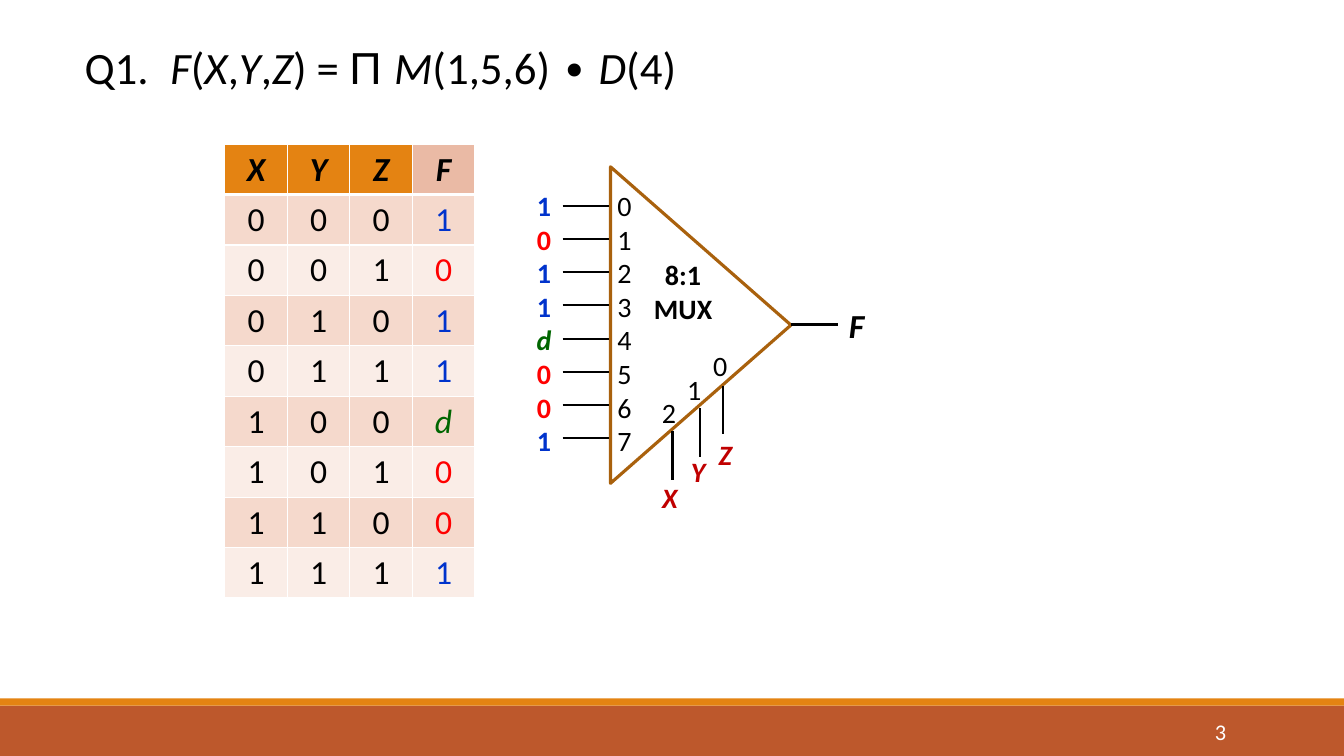
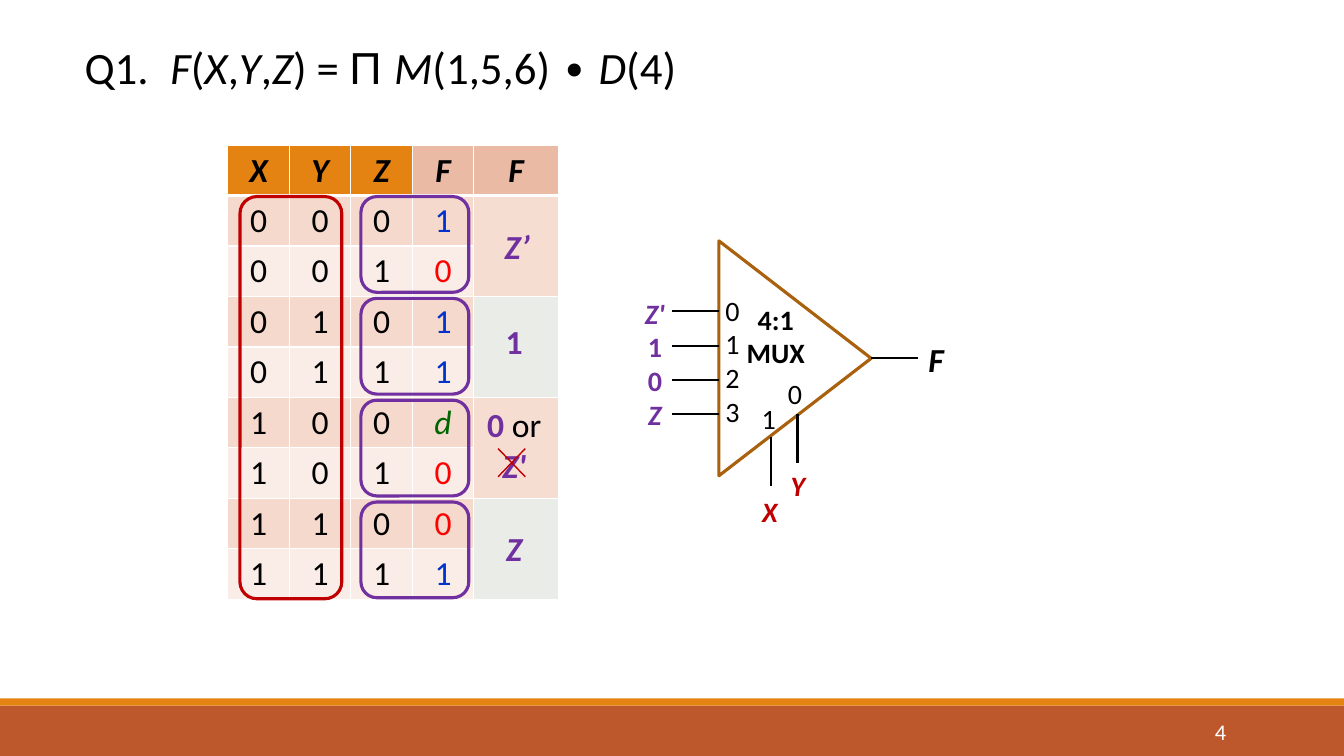
"""Build two slides that solve Q1 with an 8:1 and a 4:1 multiplexer."""
from itertools import product

from lxml.etree import SubElement
from pptx import Presentation
from pptx.dml.color import RGBColor
from pptx.enum.shapes import MSO_CONNECTOR, MSO_SHAPE
from pptx.enum.text import MSO_ANCHOR, PP_ALIGN
from pptx.oxml.ns import qn
from pptx.util import Inches, Pt

BLACK = RGBColor(0x00, 0x00, 0x00)
WHITE = RGBColor(0xFF, 0xFF, 0xFF)
BLUE = RGBColor(0x00, 0x33, 0xCC)
RED = RGBColor(0xFF, 0x00, 0x00)
GREEN = RGBColor(0x00, 0x66, 0x00)
CRIMSON = RGBColor(0xC0, 0x00, 0x00)
PURPLE = RGBColor(0x70, 0x30, 0xA0)
BROWN = RGBColor(0xA9, 0x61, 0x0D)
RUST = RGBColor(0xBD, 0x58, 0x2C)
ORANGE = RGBColor(0xE4, 0x83, 0x12)
PEACH = RGBColor(0xEA, 0xBA, 0xA5)
BANDS = [RGBColor(0xF5, 0xD9, 0xCC), RGBColor(0xFA, 0xED, 0xE7)]
PAIRS = [RGBColor(0xF5, 0xDD, 0xD2), RGBColor(0xEA, 0xEC, 0xE7)]
INKS = {"0": RED, "1": BLUE, "d": GREEN}
FONT = "Calibri"
CENTER = PP_ALIGN.CENTER


def text(page, x, y, w, h, paras, size=20, align=CENTER, anchor=MSO_ANCHOR.TOP):
    """Add a text box; each paragraph is a list of (words, style, colour) runs."""
    box = page.shapes.add_textbox(Inches(x), Inches(y), Inches(w), Inches(h))
    frame = box.text_frame
    frame.word_wrap = True
    frame.vertical_anchor = anchor
    for n, runs in enumerate(paras):
        para = frame.add_paragraph() if n else frame.paragraphs[0]
        para.alignment = align
        for words, style, ink in runs:
            run = para.add_run()
            run.text = words
            run.font.name = "Arial" if "Π" in words else FONT
            run.font.size = Pt(size)
            run.font.bold = "b" in style
            run.font.italic = "i" in style
            run.font.color.rgb = ink


def line(page, x1, y1, x2, y2, ink=BLACK, width=1.5):
    """Add a straight line without a shadow."""
    wire = page.shapes.add_connector(
        MSO_CONNECTOR.STRAIGHT, Inches(x1), Inches(y1), Inches(x2), Inches(y2))
    wire.line.color.rgb = ink
    wire.line.width = Pt(width)
    SubElement(wire._element.spPr, qn("a:effectLst"))


TITLE = [("F", "i"), ("(", ""), ("X", "i"), (",", ""), ("Y", "i"), (",", ""),
         ("Z", "i"), (") = ", ""), ("Π ", ""), ("M", "i"), ("(1,5,6) ∙ ", ""),
         ("D", "i"), ("(4)", "")]
VALUES = "1011d001"
ROWS = [[*bits, out] for bits, out in zip(product("01", repeat=3), VALUES)]

SLIDES = [
    dict(
        number="3", heads="XYZF", left=2.23, top=1.43, widths=[0.62] * 4,
        extract=(5.38, 2.33, 3.14, 1.79), name="8:1", label=(6.19, 2.51),
        ports=(5.91, 1.82), feeds=(4.89, 1.82), tall=2.79,
        wire=(5.58, 2.04), step=0.33, tip=(7.85, 3.22),
        inputs=[(v, "bi" if v == "d" else "b", INKS[v]) for v in VALUES],
        picks=[("0", 6.86, 3.41), ("1", 6.6, 3.65), ("2", 6.35, 3.87)],
        stubs=[(7.17, 3.83), (6.94, 4.05), (6.67, 4.28)],
        names=[("X", 6.36, 4.72), ("Y", 6.64, 4.46), ("Z", 6.91, 4.29)]),
    dict(
        number="4", heads="XYZFF", left=2.26, top=1.44, widths=[0.61] * 4 + [0.84],
        extract=(6.72, 2.8, 2.33, 1.51), name="4:1", label=(7.11, 2.95),
        ports=(6.98, 2.86), feeds=(5.99, 2.89), tall=1.45,
        wire=(6.67, 3.09), step=0.34, tip=(8.64, 3.55),
        inputs=[("Z'", "bi", PURPLE), ("1", "b", PURPLE),
                ("0", "b", PURPLE), ("Z", "bi", PURPLE)],
        picks=[("0", 7.6, 3.69), ("1", 7.34, 3.93)],
        stubs=[(7.91, 4.11), (7.65, 4.34)],
        names=[("X", 7.35, 4.86), ("Y", 7.63, 4.6)]),
]

deck = Presentation()
deck.slide_width = Inches(13.33)
deck.slide_height = Inches(7.5)

for plan in SLIDES:
    page = deck.slides.add_slide(deck.slide_layouts[6])
    for top, high, ink in [(7, 0.5, RUST), (6.93, 0.07, ORANGE)]:
        band = page.shapes.add_shape(
            MSO_SHAPE.RECTANGLE, 0, Inches(top), deck.slide_width, Inches(high))
        band.shadow.inherit = False
        band.fill.solid()
        band.fill.fore_color.rgb = ink
        band.line.fill.background()
    text(page, 0.74, 0.34, 0.85, 0.72, [[("Q1.", "", BLACK)]], 32, PP_ALIGN.LEFT)
    text(page, 1.59, 0.34, 6.35, 0.64, [[(*part, BLACK) for part in TITLE]],
         32, PP_ALIGN.LEFT)
    text(page, 10.83, 7.06, 1.43, 0.4, [[(plan["number"], "", WHITE)]],
         16, PP_ALIGN.RIGHT, MSO_ANCHOR.MIDDLE)

    widths = plan["widths"]
    grid = page.shapes.add_table(
        9, len(widths), Inches(plan["left"]), Inches(plan["top"]),
        Inches(sum(widths)), Inches(4.5)).table
    for col, width in zip(grid.columns, widths):
        col.width = Inches(width)
    for r, row in enumerate([plan["heads"], *ROWS]):
        for c in range(len(widths)):
            cell = grid.cell(r, c)
            props = cell._tc.get_or_add_tcPr()
            for side in "LRTB":
                thick = 3 if (r, side) in [(0, "B"), (1, "T")] else 1
                edge = SubElement(props, qn("a:ln" + side), w=str(Pt(thick)))
                paint = SubElement(edge, qn("a:solidFill"))
                SubElement(paint, qn("a:srgbClr"), val=str(WHITE))
            cell.fill.solid()
            if r == 0:
                cell.fill.fore_color.rgb = ORANGE if c < 3 else PEACH
            elif c == 4:
                cell.fill.fore_color.rgb = PAIRS[(r - 1) // 2 % 2]
            else:
                cell.fill.fore_color.rgb = BANDS[(r - 1) % 2]
            if c < len(row):
                para = cell.text_frame.paragraphs[0]
                para.text = row[c]
                para.alignment = CENTER
                font = para.runs[0].font
                font.name = FONT
                font.size = Pt(24)
                font.bold = r == 0
                font.italic = r == 0 or row[c] == "d"
                font.color.rgb = INKS[row[c]] if r and c == 3 else BLACK
    if len(widths) == 5:
        for r in range(1, 9, 2):
            grid.cell(r, 4).merge(grid.cell(r + 1, 4))

    mux = page.shapes.add_shape(
        MSO_SHAPE.FLOWCHART_EXTRACT, *[Inches(v) for v in plan["extract"]])
    mux.rotation = 90
    mux.shadow.inherit = False
    mux.fill.background()
    mux.line.color.rgb = BROWN
    mux.line.width = Pt(2.25)
    text(page, *plan["label"], 1.17, 0.77,
         [[(plan["name"], "b", BLACK)], [("MUX", "b", BLACK)]])
    inputs = plan["inputs"]
    text(page, *plan["ports"], 0.57, plan["tall"],
         [[(str(n), "", BLACK)] for n in range(len(inputs))])
    text(page, *plan["feeds"], 1.01, plan["tall"], [[run] for run in inputs])
    x, y = plan["wire"]
    for n in range(len(inputs)):
        level = y + n * plan["step"]
        line(page, x, level, x + 0.46, level)
    for digit, x, y in plan["picks"]:
        text(page, x, y, 0.57, 0.44, [[(digit, "", BLACK)]])
    for x, y in plan["stubs"]:
        line(page, x, y, x, y + 0.48)
    for name, x, y in plan["names"]:
        text(page, x, y, 0.57, 0.44, [[(name, "bi", CRIMSON)]])
    x, y = plan["tip"]
    line(page, x, y, x + 0.46, y)
    text(page, x + 0.36, y - 0.24, 0.57, 0.5, [[("F", "bi", BLACK)]], 24)

rings = [(2.38, 1.95, 1.01, 3.99, CRIMSON)]
rings += [(3.58, 1.95 + 1.01 * n, 1.07, 0.95, PURPLE) for n in range(4)]
for *box, ink in rings:
    ring = page.shapes.add_shape(
        MSO_SHAPE.ROUNDED_RECTANGLE, *[Inches(v) for v in box])
    ring.shadow.inherit = False
    ring.fill.background()
    ring.line.color.rgb = ink
    ring.line.width = Pt(2.25)

for words, style, x, y in [("Z’", "bi", 4.84, 2.19), ("1", "b", 4.81, 3.13),
                           ("Z", "bi", 4.81, 5.19)]:
    text(page, x, y, 0.58, 0.5, [[(words, style, PURPLE)]], 24)
text(page, 4.66, 3.96, 0.88, 0.91,
     [[("0 ", "b", PURPLE), ("or", "", BLACK)], [("Z'", "bi", PURPLE)]], 24)
for y1, y2 in [(4.45, 4.73), (4.73, 4.45)]:
    line(page, 4.94, y1, 5.21, y2, CRIMSON, 1)

deck.save("out.pptx")
